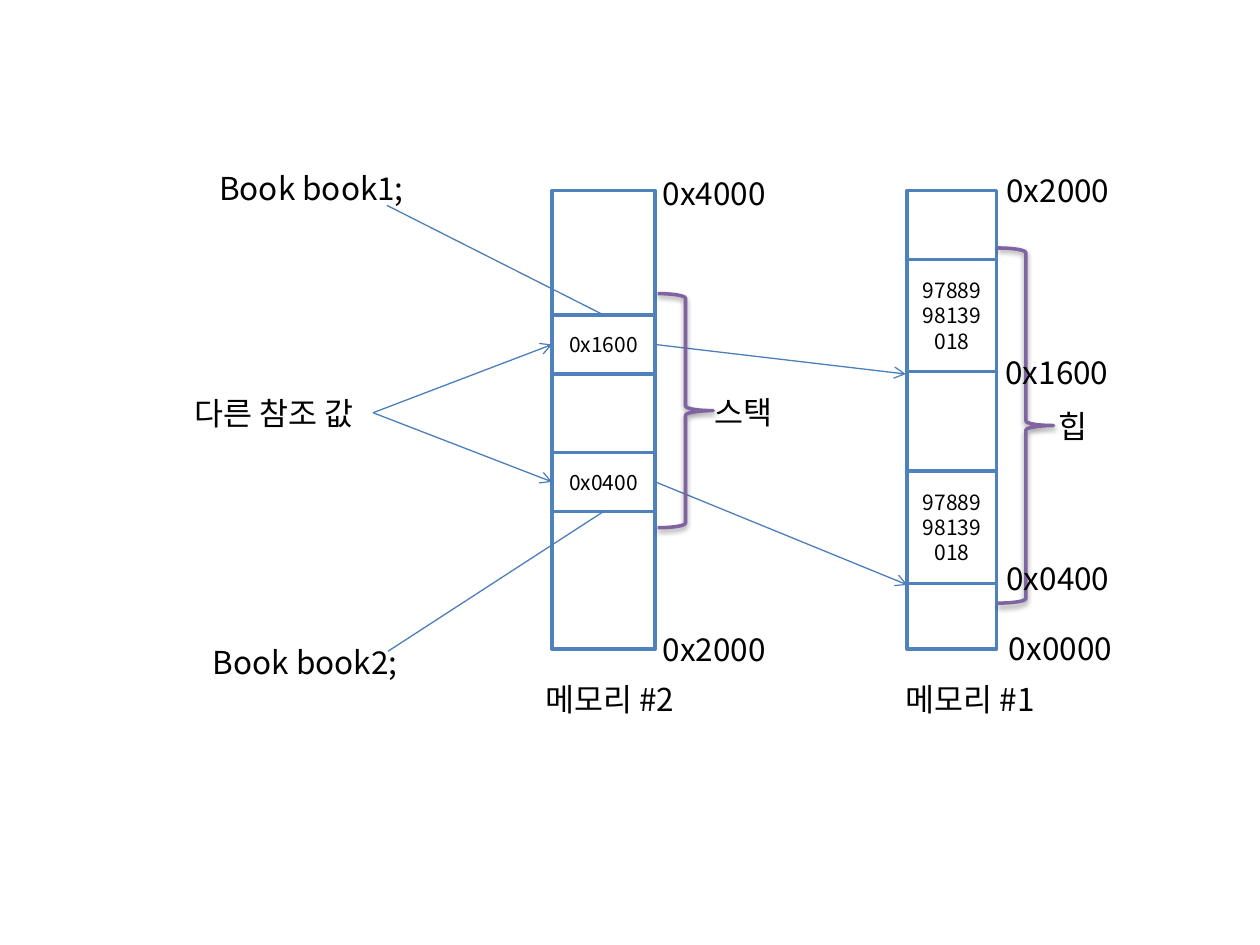
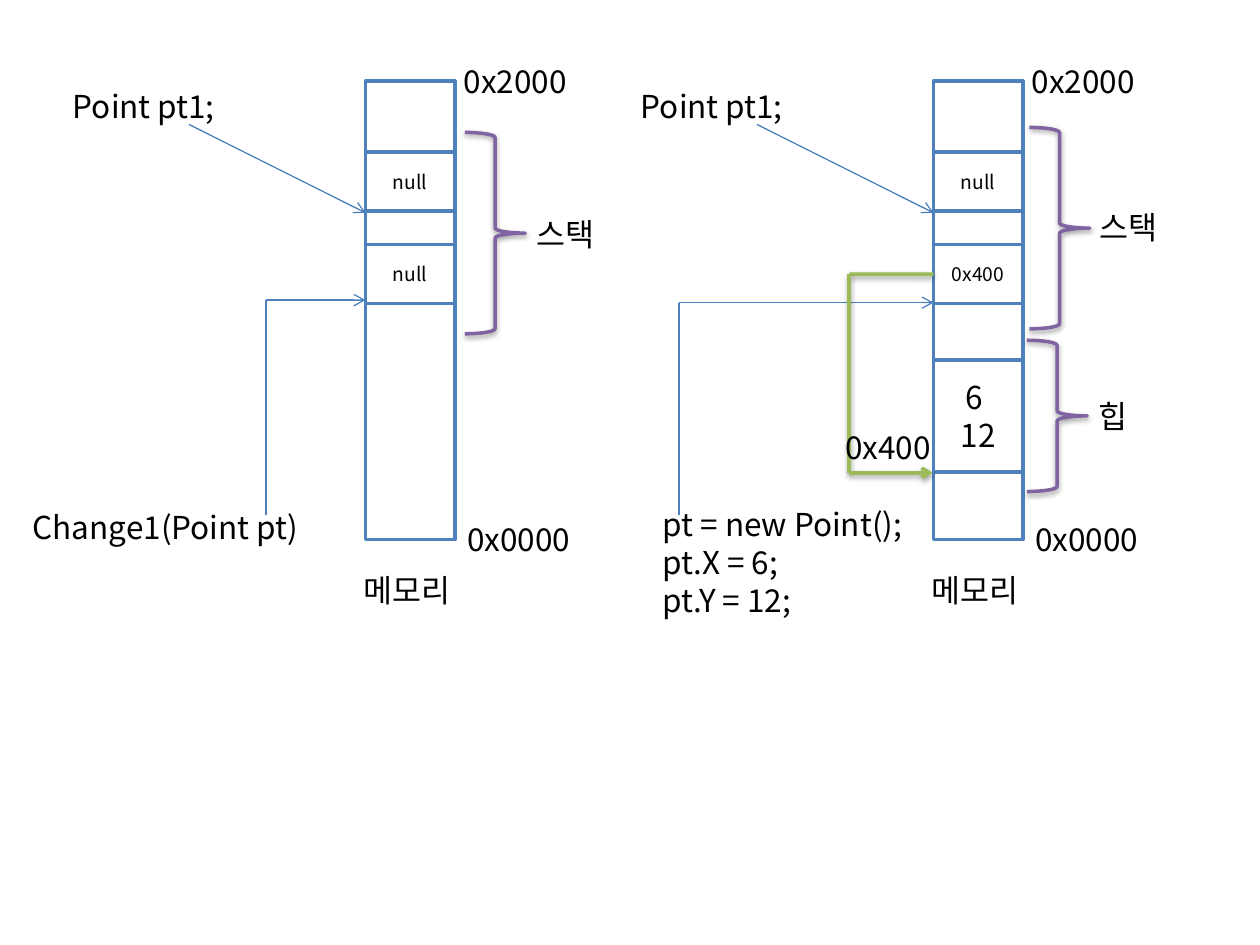
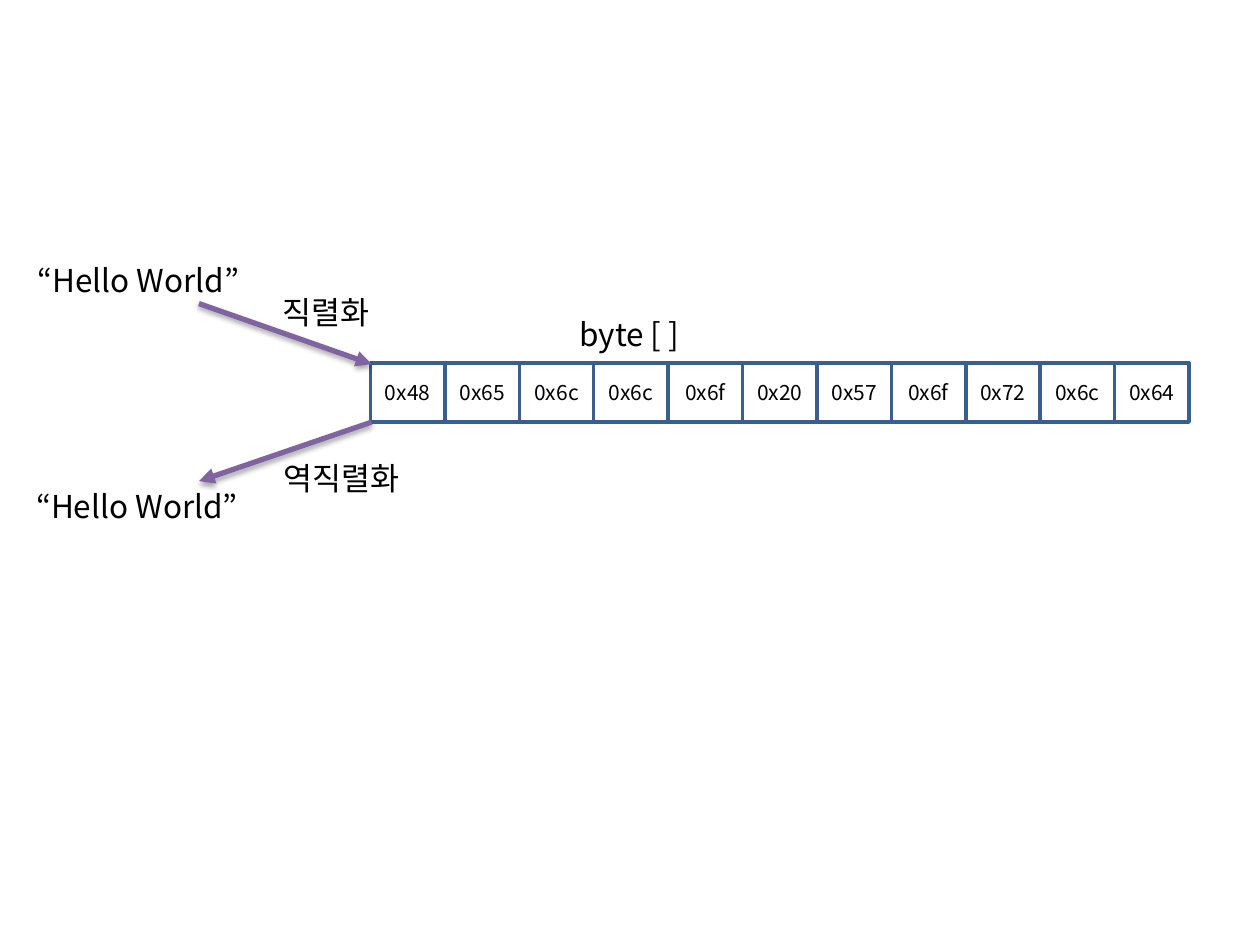
from lxml import etree
from pptx import Presentation
from pptx.dml.color import RGBColor
from pptx.enum.shapes import MSO_CONNECTOR, MSO_SHAPE
from pptx.enum.text import MSO_ANCHOR, PP_ALIGN
from pptx.oxml.ns import qn
from pptx.util import Cm, Pt

RECT, BRACE = MSO_SHAPE.RECTANGLE, MSO_SHAPE.RIGHT_BRACE
STRAIGHT = MSO_CONNECTOR.STRAIGHT
MIDDLE, CENTER, LEFT = MSO_ANCHOR.MIDDLE, PP_ALIGN.CENTER, PP_ALIGN.LEFT
TOP_SIDE, LEFT_SIDE, BOTTOM_SIDE, RIGHT_SIDE = range(4)

# Shared style; all lengths are centimetres
FONT = "Noto Sans CJK KR"
BLACK, WHITE = "000000", "FFFFFF"
BOX_BLUE, LINE_BLUE, BYTE_BLUE = "4F81BD", "4B7EBC", "3A5F8C"
PURPLE, GREEN = "8064A2", "9BBB59"
LABEL_H, SLOT_H, OBJECT_H = 1.02, 1.19, 2.26
MEMORY_H, MEMORY_W = 9.25, 1.8

# Slide 1: two references to two objects
STACK_X, STACK_W, HEAP_X, MEMORY_Y = 11.13, 2.08, 18.29, 3.84
ISBN = "9788998139018"
REFERENCES = [
    # address, slot top, object top, label point, side of label line, arrow end
    ("0x1600", 6.35, 5.23, (7.8, 4.14), TOP_SIDE, (18.26, 7.54)),
    ("0x0400", 9.12, 9.5, (7.82, 13.13), BOTTOM_SIDE, (18.29, 11.79)),
]
DIFFERENT_POINT = (7.52, 8.32)
REFERENCE_BRACES = [(13.26, 5.92, 1.12, 4.72), (20.12, 5, 1.12, 7.16)]
REFERENCE_LABELS = [  # text, left, top, width
    ("Book book1;", 4.17, 3.28, 8.03), ("Book book2;", 4.04, 12.83, 8.03),
    ("다른 참조 값", 3.68, 7.82, 4.19),
    ("0x4000", 13.11, 3.38, 3.4), ("0x2000", 13.11, 12.57, 3.4),
    ("0x2000", 20.04, 3.33, 3.4), ("0x1600", 20.02, 6.99, 3.4),
    ("0x0400", 20.04, 11.15, 3.4), ("0x0000", 20.09, 12.55, 3.4),
    ("스택", 14.15, 7.8, 4.19), ("힙", 21.08, 8.08, 4.19),
    ("메모리 #2", 10.74, 13.59, 3.4), ("메모리 #1", 18.01, 13.59, 3.4),
]

# Slide 2: memory before and after the assignment
PANELS = [  # memory left, values of pt1 and pt, corner of the call arrow
    (7.37, ("null", "null"), (5.36, 6.05)),
    (18.82, ("null", "0x400"), (13.69, 6.1)),
]
PANEL_Y, PANEL_SLOT_TOPS, CALL_Y = 1.63, (3.07, 4.93), 10.39
PANEL_LABELS = [  # text, offset from memory left, top, width
    ("Point pt1;", -6.15, 1.63, 8.03), ("0x2000", 1.73, 1.12, 3.4),
    ("0x0000", 1.8, 10.36, 3.4), ("메모리", -0.3, 11.38, 3.4),
]
ASSIGNMENT_BRACES = [(9.37, 2.67, 1.22, 4.06), (20.75, 2.57, 1.22, 4.06),
                     (20.7, 6.86, 1.22, 3.05)]
ASSIGNMENT_LABELS = [
    ("Change1(Point pt)", 0.41, 10.11, 8.03),
    ("pt = new Point();\vpt.X = 6;\npt.Y = 12;", 13.11, 10.06, 8.03),
    ("스택", 10.57, 4.22, 3.4), ("스택", 21.92, 4.06, 3.4),
    ("힙", 21.89, 7.87, 3.4), ("0x400", 16.79, 8.51, 3.4),
]
POINT_TOP, POINTER_X, POINTER_END = 7.26, 17.12, (18.8, 9.53)

# Slide 3: serialization
BYTES = "0x48 0x65 0x6c 0x6c 0x6f 0x20 0x57 0x6f 0x72 0x6c 0x64".split()
BYTES_X, BYTES_Y, BYTE_W = 7.47, 7.32, 1.5
SERIAL_ARROWS = [((4.01, 6.12), (7.49, 7.34)), ((7.49, 8.51), (4.01, 9.7))]
SERIAL_LABELS = [
    ("“Hello World”", 0.51, 5.13, 12.19), ("“Hello World”", 0.48, 9.7, 12.42),
    ("직렬화", 5.44, 5.79, 5), ("역직렬화", 5.46, 9.12, 5),
    ("byte [ ]", 11.43, 6.22, 5),
]


def rgb(color):
    return RGBColor.from_string(color)


def write(frame, text, size, align):
    frame.word_wrap = True
    frame.text = text
    for paragraph in frame.paragraphs:
        paragraph.alignment = align
        paragraph.font.size = Pt(size)
        paragraph.font.color.rgb = rgb(BLACK)
        paragraph.font.name = FONT
        defaults = paragraph._p.pPr.find(qn("a:defRPr"))
        etree.SubElement(defaults, qn("a:ea"), typeface=FONT)


def add_shadow(part, alpha=38, distance=20000):
    effects = etree.SubElement(part._element.spPr, qn("a:effectLst"))
    shadow = etree.SubElement(effects, qn("a:outerShdw"), blurRad="40000",
                              dist=str(distance), dir="5400000", rotWithShape="0")
    color = etree.SubElement(shadow, qn("a:srgbClr"), val=BLACK)
    etree.SubElement(color, qn("a:alpha"), val=str(alpha * 1000))


def add_labels(slide, labels):
    for text, x, y, width in labels:
        label = slide.shapes.add_textbox(Cm(x), Cm(y), Cm(width), Cm(LABEL_H))
        write(label.text_frame, text, 18, LEFT)


def add_box(slide, x, y, width, height, text="", size=12, line=BOX_BLUE, fill=WHITE):
    box = slide.shapes.add_shape(RECT, Cm(x), Cm(y), Cm(width), Cm(height))
    box.shadow.inherit = False
    if fill:
        box.fill.solid()
        box.fill.fore_color.rgb = rgb(fill)
    else:
        box.fill.background()
    box.line.color.rgb = rgb(line)
    box.line.width = Pt(2)
    if text:
        box.text_frame.vertical_anchor = MIDDLE
        write(box.text_frame, text, size, CENTER)
    return box


def add_braces(slide, places):
    for place in places:
        brace = slide.shapes.add_shape(BRACE, *map(Cm, place))
        brace.fill.background()
        brace.line.color.rgb = rgb(PURPLE)
        brace.line.width = Pt(2)
        add_shadow(brace)


def add_line(slide, start, end, head=None, color=LINE_BLUE, width=0.75, shadow=None):
    """Draw a line; each end is a point (x, y) or a joint (box, side)."""
    joined = [not isinstance(place[0], (int, float)) for place in (start, end)]
    points = [(0, 0) if joint else place for joint, place in zip(joined, (start, end))]
    line = slide.shapes.add_connector(STRAIGHT, *(Cm(v) for point in points for v in point))
    if joined[0]:
        line.begin_connect(*start)
    if joined[1]:
        line.end_connect(*end)
    line.line.color.rgb = rgb(color)
    line.line.width = Pt(width)
    if head:
        etree.SubElement(line.line._get_or_add_ln(), qn("a:tailEnd"), type=head)
    if shadow:
        add_shadow(line, *shadow)
    else:
        etree.SubElement(line._element.spPr, qn("a:effectLst"))


def build_references(slide):
    add_box(slide, STACK_X, MEMORY_Y, STACK_W, MEMORY_H)
    add_box(slide, HEAP_X, MEMORY_Y, MEMORY_W, MEMORY_H)
    for address, slot_y, object_y, label_point, side, target in REFERENCES:
        slot = add_box(slide, STACK_X, slot_y, STACK_W, SLOT_H, address)
        add_box(slide, HEAP_X, object_y, MEMORY_W, OBJECT_H, ISBN)
        add_line(slide, label_point, (slot, side))
        add_line(slide, (slot, RIGHT_SIDE), target, "arrow")
        add_line(slide, DIFFERENT_POINT, (slot, LEFT_SIDE), "arrow")
    add_braces(slide, REFERENCE_BRACES)
    add_labels(slide, REFERENCE_LABELS)


def build_assignment(slide):
    for x, values, (corner_x, corner_y) in PANELS:
        add_box(slide, x, PANEL_Y, MEMORY_W, MEMORY_H)
        slots = [add_box(slide, x, y, MEMORY_W, SLOT_H, value, 11)
                 for y, value in zip(PANEL_SLOT_TOPS, values)]
        add_labels(slide, [(text, x + dx, y, w) for text, dx, y, w in PANEL_LABELS])
        add_line(slide, (x - 3.56, 2.51), (x, 4.29), "arrow")
        add_line(slide, (corner_x, corner_y), (corner_x, CALL_Y))
        add_line(slide, (corner_x, corner_y), (x, corner_y), "arrow")

    # New object and the pointer from the last slot to it
    add_box(slide, x, POINT_TOP, MEMORY_W, OBJECT_H, "6 \v12", 18)
    pointer_y = PANEL_SLOT_TOPS[1] + SLOT_H / 2
    turn = (POINTER_X, POINTER_END[1])
    pointer = [((slots[1], LEFT_SIDE), (POINTER_X, pointer_y), None),
               ((POINTER_X, pointer_y), turn, None),
               (turn, POINTER_END, "arrow")]
    for start, end, head in pointer:
        add_line(slide, start, end, head, GREEN, 2, (38, 20000))
    add_braces(slide, ASSIGNMENT_BRACES)
    add_labels(slide, ASSIGNMENT_LABELS)


def build_serialization(slide):
    for i, value in enumerate(BYTES):
        add_box(slide, BYTES_X + i * BYTE_W, BYTES_Y, BYTE_W, SLOT_H, value,
                line=BYTE_BLUE, fill=None)
    for start, end in SERIAL_ARROWS:
        add_line(slide, start, end, "triangle", PURPLE, 3, (35, 23000))
    add_labels(slide, SERIAL_LABELS)


def main():
    deck = Presentation()
    deck.slide_width, deck.slide_height = Cm(25.4), Cm(19.05)
    blank = deck.slide_layouts[6]
    for build in (build_references, build_assignment, build_serialization):
        build(deck.slides.add_slide(blank))
    deck.save("out.pptx")


if __name__ == "__main__":
    main()
